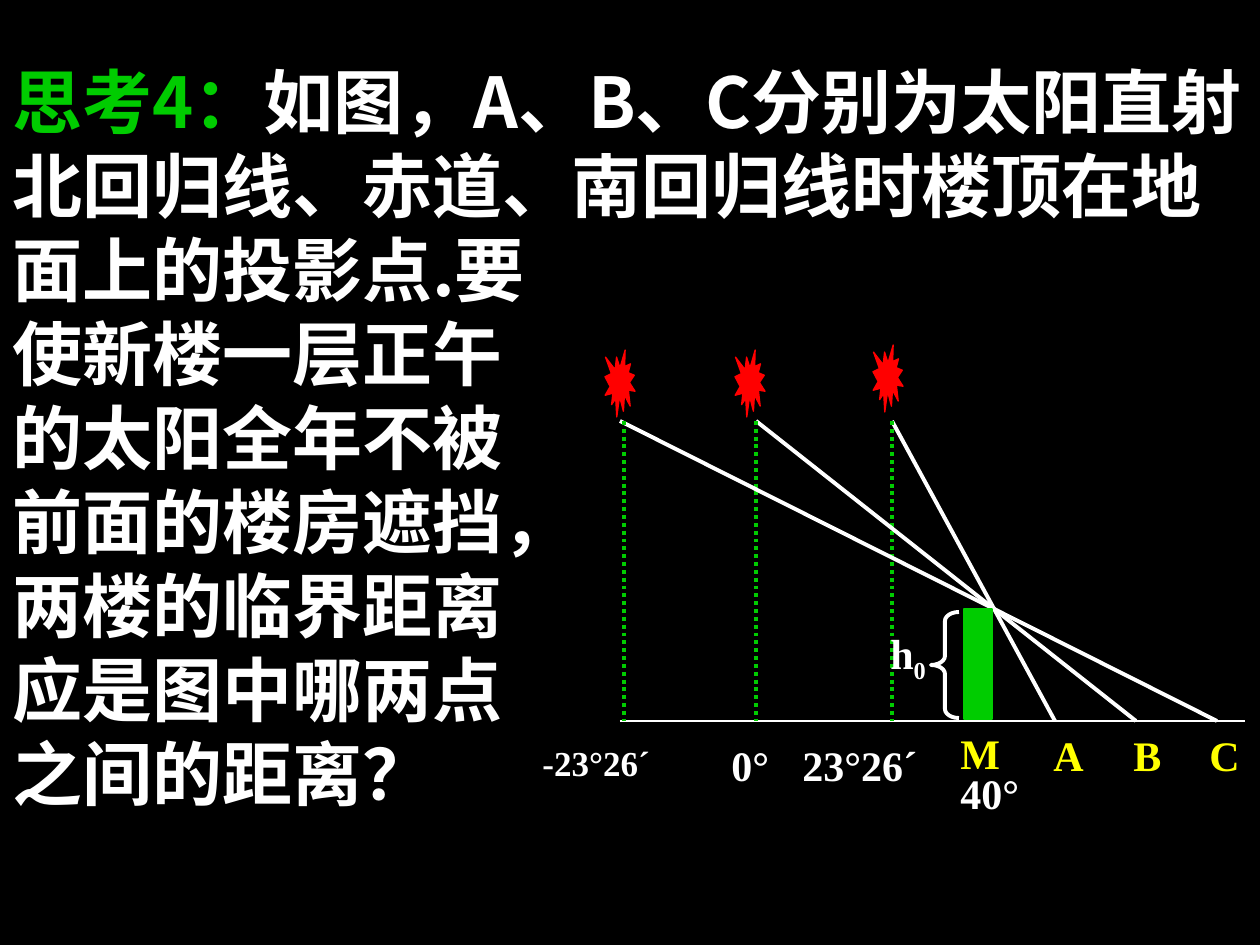
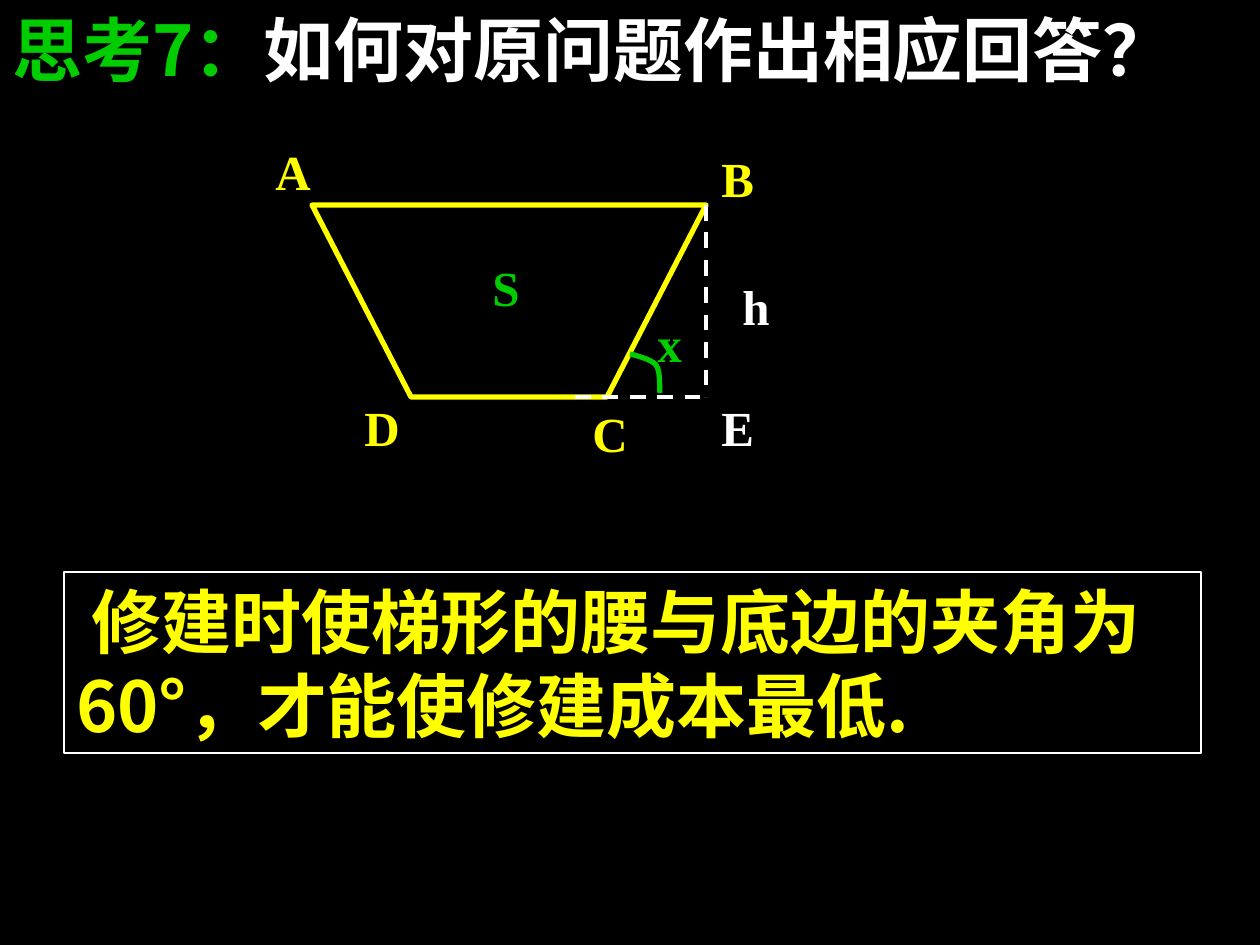
from dataclasses import dataclass

from lxml import etree
from pptx import Presentation
from pptx.dml.color import RGBColor
from pptx.enum.dml import MSO_LINE
from pptx.enum.shapes import MSO_CONNECTOR, MSO_SHAPE
from pptx.enum.text import MSO_ANCHOR, MSO_AUTO_SIZE, PP_ALIGN
from pptx.oxml.ns import qn
from pptx.util import Pt

EMU_PER_PX = 914400 / 126
PAGE_WIDTH, PAGE_HEIGHT = 1260, 945
TITLE_ONLY = 5

STRAIGHT = MSO_CONNECTOR.STRAIGHT
RECTANGLE = MSO_SHAPE.RECTANGLE
LEFT_BRACE = MSO_SHAPE.LEFT_BRACE
SUNBURST = MSO_SHAPE.EXPLOSION1
DASH, DOT = MSO_LINE.DASH, MSO_LINE.ROUND_DOT
TOP, LEFT = MSO_ANCHOR.TOP, PP_ALIGN.LEFT
FIT_SHAPE, FIXED = MSO_AUTO_SIZE.SHAPE_TO_FIT_TEXT, MSO_AUTO_SIZE.NONE


@dataclass(frozen=True)
class Theme:
    black: RGBColor = RGBColor(0, 0, 0)
    white: RGBColor = RGBColor(255, 255, 255)
    green: RGBColor = RGBColor(0, 204, 0)
    yellow: RGBColor = RGBColor(255, 255, 0)
    red: RGBColor = RGBColor(255, 0, 0)
    chinese: str = "Noto Sans CJK SC"
    latin: str = "Times New Roman"
    heading: int = 40
    vertex: int = 28
    axis: int = 24
    small_axis: int = 20
    thin: float = 0.75
    medium: float = 2.25
    thick: float = 3


THEME = Theme()


def px(length):
    return round(length * EMU_PER_PX)


def inside(box, left, top, width, height):
    return box[0] + left, box[1] + top, width, height


def offset(box, point):
    return box[0] + point[0], box[1] + point[1]


def place(shape, box):
    for name, length in zip(("left", "top", "width", "height"), box):
        setattr(shape, name, px(length))


def add_span(para, text, color, size, font=THEME.latin):
    span = para.add_run()
    span.text = text
    for name, value in {"size": Pt(size), "bold": True, "name": font}.items():
        setattr(span.font, name, value)
    span.font.color.rgb = color
    etree.SubElement(span.font._element, qn("a:ea"), typeface=font)
    return span


def format_frame(frame, auto_size):
    settings = {"word_wrap": True, "auto_size": auto_size, "vertical_anchor": TOP}
    for name, value in settings.items():
        setattr(frame, name, value)


def style_line(shape, color, width, dash=None):
    shape.line.color.rgb = color
    shape.line.width = Pt(width)
    if dash:
        shape.line.dash_style = dash


def add_label(page, box, text, color, size):
    label = page.shapes.add_textbox(*map(px, box))
    format_frame(label.text_frame, FIXED)
    para = label.text_frame.paragraphs[0]
    add_span(para, text, color, size)
    return para


def add_line(page, box, start, end, color, width, dash=None):
    points = offset(box, start) + offset(box, end)
    line = page.shapes.add_connector(STRAIGHT, *map(px, points))
    style_line(line, color, width, dash)
    etree.SubElement(line._element.spPr, qn("a:effectLst"))


def add_shape(page, kind, box, line_color, width=THEME.thin, fill=None):
    shape = page.shapes.add_shape(kind, *map(px, box))
    shape.shadow.inherit = False
    style_line(shape, line_color, width)
    if fill is None:
        shape.fill.background()
    else:
        shape.fill.solid()
        shape.fill.fore_color.rgb = fill
    return shape


def add_outline(page, box, points, color, close):
    start, *others = [tuple(map(px, offset(box, point))) for point in points]
    builder = page.shapes.build_freeform(*start)
    builder.add_line_segments(others, close=close)
    outline = builder.convert_to_shape()
    outline.shadow.inherit = False
    outline.fill.background()
    style_line(outline, color, THEME.thick)


def bezier(points, steps=8):
    curve = []
    for step in range(steps + 1):
        t = step / steps
        weights = ((1 - t) ** 3, 3 * t * (1 - t) ** 2, 3 * t * t * (1 - t), t ** 3)
        curve.append(tuple(sum(w * c for w, c in zip(weights, axis))
                           for axis in zip(*points)))
    return curve


def add_question(deck, box, number, lines):
    page = deck.slides.add_slide(deck.slide_layouts[TITLE_ONLY])
    title = page.shapes.title
    place(title, box)
    frame = title.text_frame
    format_frame(frame, FIT_SHAPE)
    for index, line in enumerate(lines):
        para = frame.add_paragraph() if index else frame.paragraphs[0]
        para.alignment = LEFT
        if index == 0:
            add_span(para, f"思考{number}：", THEME.green, THEME.heading, THEME.chinese)
        add_span(para, line, THEME.white, THEME.heading, THEME.chinese)
    return page


def draw_sun_rays(page, box):
    ground, ray_top = 376, 76
    add_line(page, box, (90, ground), (715, ground), THEME.white, THEME.thin)
    columns = ((362, 362, 343, 0), (226, 226, 205, 5), (94, 90, 75, 5))
    for index, (column, ray, sun_left, sun_top) in enumerate(columns):
        add_line(page, box, (ray, ray_top), (525 + 81 * index, ground),
                 THEME.white, THEME.medium)
        add_line(page, box, (column, ray_top), (column, ground),
                 THEME.green, THEME.medium, DOT)
        add_shape(page, SUNBURST, inside(box, sun_left, sun_top, 30, 67),
                  THEME.red, fill=THEME.red)


def draw_building(page, box):
    add_shape(page, RECTANGLE, inside(box, 434, 264, 28, 110),
              THEME.green, fill=THEME.green)
    brace = add_shape(page, LEFT_BRACE, inside(box, 401, 267, 28, 106),
                      THEME.white, THEME.medium)
    brace.adjustments[0] = 0.32
    height = add_label(page, inside(box, 348, 276, 82, 117), "h", THEME.white, THEME.axis)
    subscript = add_span(height, "0", THEME.white, THEME.axis)
    subscript.font._element.set("baseline", "-25000")


def draw_ground_labels(page, box):
    labels = (
        ("-23°26´", 0, 390, 189, THEME.white, THEME.small_axis),
        ("0°", 189, 388, 102, THEME.white, THEME.axis),
        ("23°26´", 260, 388, 197, THEME.white, THEME.axis),
        ("40°", 418, 416, 113, THEME.white, THEME.axis),
        ("M", 418, 376, 103, THEME.yellow, THEME.axis),
        ("A", 511, 378, 126, THEME.yellow, THEME.axis),
        ("B", 591, 378, 84, THEME.yellow, THEME.axis),
        ("C", 667, 378, 117, THEME.yellow, THEME.axis),
    )
    for text, left, top, width, color, size in labels:
        add_label(page, inside(box, left, top, width, 80), text, color, size)


def draw_trapezoid(page, box):
    a, b, c, d, e = (49, 70), (443, 70), (344, 262), (148, 262), (443, 262)
    add_outline(page, box, (a, d, c, b), THEME.yellow, True)
    for start in ((312, 262), b):
        add_line(page, box, start, e, THEME.white, THEME.medium, DASH)
    upper = bezier(((367, 219), (371, 220), (388, 224), (393, 230)))
    lower = bezier(((393, 230), (398, 237), (396, 252), (397, 258)))
    add_outline(page, box, upper + lower[1:], THEME.green, False)
    labels = (
        ("A", 0, 0, THEME.yellow), ("B", 446, 7, THEME.yellow),
        ("C", 317, 262, THEME.yellow), ("D", 89, 256, THEME.yellow),
        ("S", 217, 116, THEME.green), ("E", 446, 256, THEME.white),
        ("h", 467, 135, THEME.white), ("x", 382, 172, THEME.green),
    )
    for text, left, top, color in labels:
        add_label(page, inside(box, left, top, 98, 96), text, color, THEME.vertex)


def draw_answer(page, box, text):
    answer = add_shape(page, RECTANGLE, box, THEME.white)
    format_frame(answer.text_frame, FIT_SHAPE)
    para = answer.text_frame.paragraphs[0]
    para.alignment = LEFT
    para._p.get_or_add_pPr().set("indent", str(px(15)))
    add_span(para, text, THEME.yellow, THEME.heading, THEME.chinese)


def build_shadow_page(deck):
    page = add_question(deck, (0, 52, PAGE_WIDTH, 769), 4, (
        "如图，A、B、C分别为太阳直射北回归线、赤道、南回归线时楼顶在地面上的投影点.要",
        "使新楼一层正午",
        "的太阳全年不被",
        "前面的楼房遮挡，",
        "两楼的临界距离",
        "应是图中哪两点",
        "之间的距离？",
    ))
    diagram = (530, 345, 784, 500)
    draw_ground_labels(page, diagram)
    draw_sun_rays(page, diagram)
    draw_building(page, diagram)


def build_trapezoid_page(deck):
    page = add_question(deck, (0, 0, 1218, 97), 7, ("如何对原问题作出相应回答？",))
    draw_answer(page, (64, 572, 1137, 181),
                "修建时使梯形的腰与底边的夹角为60°，才能使修建成本最低.")
    draw_trapezoid(page, (263, 135, 565, 358))


def main():
    deck = Presentation()
    deck.slide_width, deck.slide_height = px(PAGE_WIDTH), px(PAGE_HEIGHT)
    background = deck.slide_master.background.fill
    background.solid()
    background.fore_color.rgb = THEME.black
    build_shadow_page(deck)
    build_trapezoid_page(deck)
    deck.save("out.pptx")


if __name__ == "__main__":
    main()
